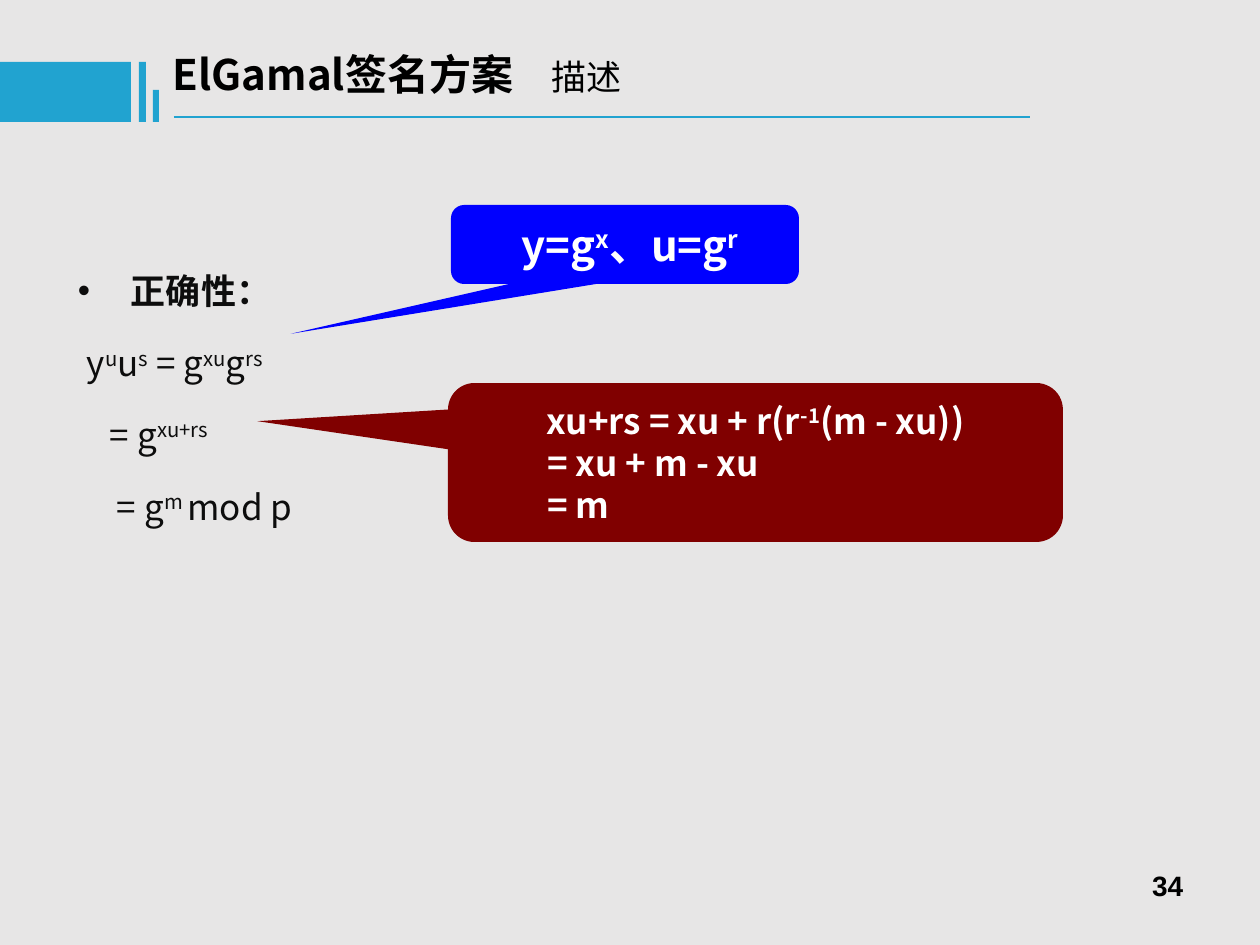
from pptx import Presentation
from pptx.dml.color import RGBColor
from pptx.enum.shapes import MSO_CONNECTOR, MSO_SHAPE
from pptx.enum.text import MSO_ANCHOR, MSO_AUTO_SIZE, PP_ALIGN
from pptx.oxml.ns import qn
from pptx.util import Pt
from lxml.etree import SubElement

PX = 7257  # EMU per pixel at 126 px to the inch
FONT = "Noto Sans CJK SC"
CYAN, INK, WHITE, BLACK = "21A3D0", "0D0D0D", "FFFFFF", "000000"


def color(value):
    return RGBColor.from_string(value)


def add_runs(paragraph, text, size, ink, bold=False, font=FONT):
    """Add text run by run; every second part between ^ marks is superscript."""
    for i, part in enumerate(text.split("^")):
        if not part:
            continue
        run = paragraph.add_run()
        run.text = part
        run.font.size, run.font.bold, run.font.name = Pt(size), bold, font
        run.font.color.rgb = color(ink)
        properties = run.font._element
        SubElement(properties, qn("a:ea")).set("typeface", font)
        if i % 2:
            properties.set("baseline", "30000")


presentation = Presentation()
presentation.slide_width, presentation.slide_height = 1260 * PX, 945 * PX
slide = presentation.slides.add_slide(presentation.slide_layouts[1])
slide.background.fill.solid()
slide.background.fill.fore_color.rgb = color("E7E6E6")

# Heading with its bars and rule
heading = slide.shapes.title
heading.left, heading.top, heading.width, heading.height = [v * PX for v in (160, 42, 777, 63)]
heading_frame = heading.text_frame
heading_frame.auto_size = MSO_AUTO_SIZE.NONE
heading_frame.vertical_anchor = MSO_ANCHOR.MIDDLE
heading_line = heading_frame.paragraphs[0]
heading_line.alignment = PP_ALIGN.LEFT
tabs = SubElement(heading_line._p.get_or_add_pPr(), qn("a:tabLst"))
SubElement(tabs, qn("a:tab"), pos=str(379 * PX), algn="l")
add_runs(heading_line, "ElGamal签名方案\t", 24, BLACK, bold=True)
add_runs(heading_line, "描述", 20, BLACK)

for left, top, width, height in [(0, 62, 131, 60), (139, 62, 7, 60), (153, 90, 6, 32)]:
    bar = slide.shapes.add_shape(MSO_SHAPE.RECTANGLE, left * PX, top * PX, width * PX, height * PX)
    bar.shadow.inherit = False
    bar.fill.solid()
    bar.fill.fore_color.rgb = color(CYAN)
    bar.line.fill.background()

rule = slide.shapes.add_connector(MSO_CONNECTOR.STRAIGHT, 174 * PX, 117 * PX, 1030 * PX, 117 * PX)
rule.line.color.rgb = color(CYAN)
rule.line.width = Pt(1.5)
SubElement(rule._element.spPr, qn("a:effectLst"))

# Correctness proof: text, left margin, hanging indent
proof = slide.placeholders[1]
proof.left, proof.top, proof.width, proof.height = [v * PX for v in (64, 241, 466, 435)]
proof_frame = proof.text_frame
proof_frame.auto_size = MSO_AUTO_SIZE.NONE
proof_frame.margin_left = proof_frame.margin_right = 14 * PX
proof_frame.margin_top = proof_frame.margin_bottom = 8 * PX
proof_steps = [
    ("正确性：", 53, -53),
    ("y^u^u^s^ = g^xu^g^rs", 9, 0),
    ("= g^xu+rs", 32, 0),
    ("= g^m ^mod p", 39, 0),
]
for i, (step, margin, indent) in enumerate(proof_steps):
    line = proof_frame.add_paragraph() if i else proof_frame.paragraphs[0]
    line.line_spacing = 1.5
    line.space_before = Pt(5 if i else 0)
    properties = line._p.get_or_add_pPr()
    properties.set("marL", str(margin * PX))
    properties.set("indent", str(indent * PX))
    if indent:
        bullet_color = SubElement(properties, qn("a:buClr"))
        SubElement(bullet_color, qn("a:srgbClr"), val=INK)
        SubElement(properties, qn("a:buFont"), typeface="Arial")
        SubElement(properties, qn("a:buChar"), char="•")
    else:
        SubElement(properties, qn("a:buNone"))
    add_runs(line, step, 20, INK, bold=i == 0)

# Callouts: place, pointer, fill, text size, lines with alignment and left margin
callouts = [
    ((448, 383, 615, 159), (-0.81, -0.26), "800000", 20,
     [("xu+rs = xu + r(r^-1^(m - xu))", PP_ALIGN.CENTER, 0),
      ("= xu + m - xu", PP_ALIGN.LEFT, 79),
      ("= m", PP_ALIGN.LEFT, 79)]),
    ((451, 205, 348, 79), (-0.96, 1.13), "0000FF", 24,
     [("y=g^x^、u=g^r", PP_ALIGN.CENTER, 10)]),
]
for place, pointer, fill, size, lines in callouts:
    callout = slide.shapes.add_shape(MSO_SHAPE.ROUNDED_RECTANGULAR_CALLOUT, *[v * PX for v in place])
    callout.adjustments[0], callout.adjustments[1] = pointer
    callout.shadow.inherit = False
    callout.fill.solid()
    callout.fill.fore_color.rgb = color(fill)
    callout.line.fill.background()
    callout_frame = callout.text_frame
    callout_frame.vertical_anchor = MSO_ANCHOR.MIDDLE
    for i, (formula, alignment, margin) in enumerate(lines):
        line = callout_frame.add_paragraph() if i else callout_frame.paragraphs[0]
        line.alignment = alignment
        line._p.get_or_add_pPr().set("marL", str(margin * PX))
        add_runs(line, formula, size, WHITE, bold=True)

page_number = slide.shapes.add_textbox(903 * PX, 861 * PX, 294 * PX, 65 * PX)
page_frame = page_number.text_frame
page_frame.word_wrap = True
page_frame.margin_left = page_frame.margin_right = 14 * PX
page_frame.margin_top = page_frame.margin_bottom = 8 * PX
page_frame.paragraphs[0].alignment = PP_ALIGN.RIGHT
add_runs(page_frame.paragraphs[0], "34", 16, BLACK, bold=True, font="Arial")

presentation.save("out.pptx")
